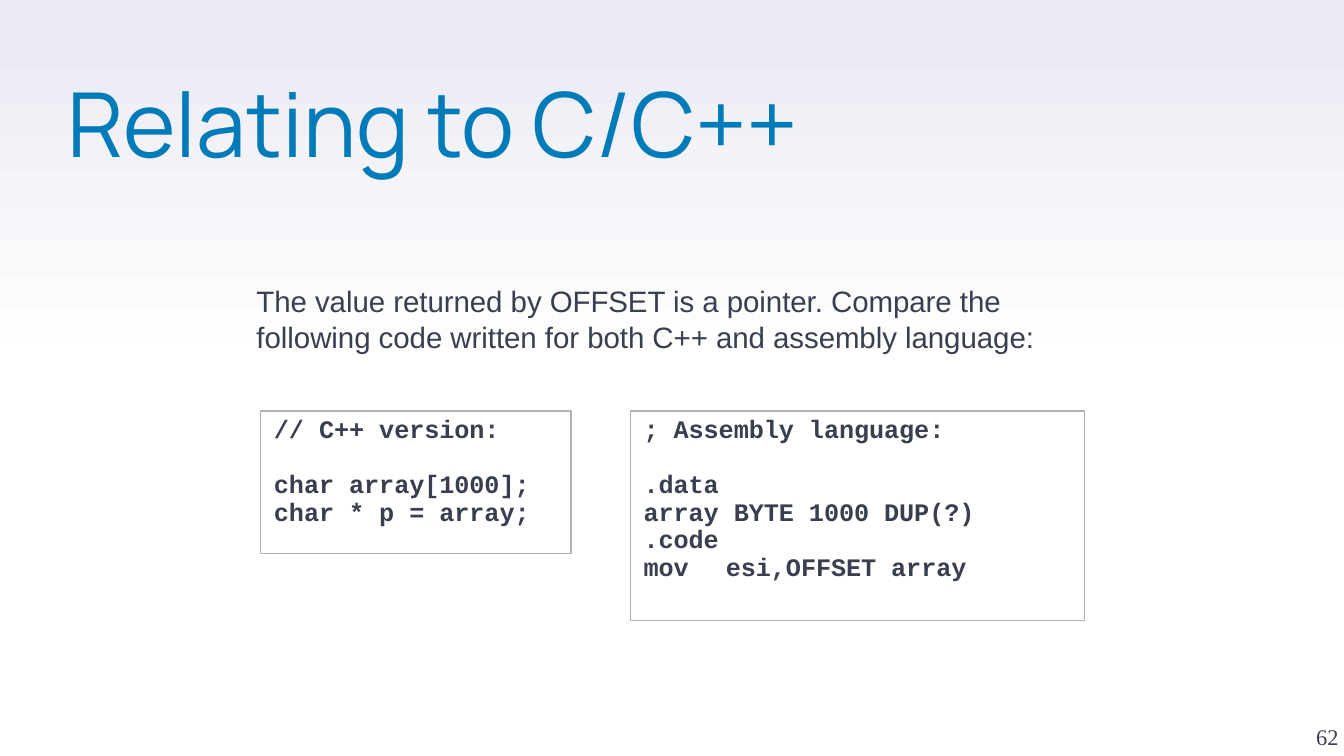
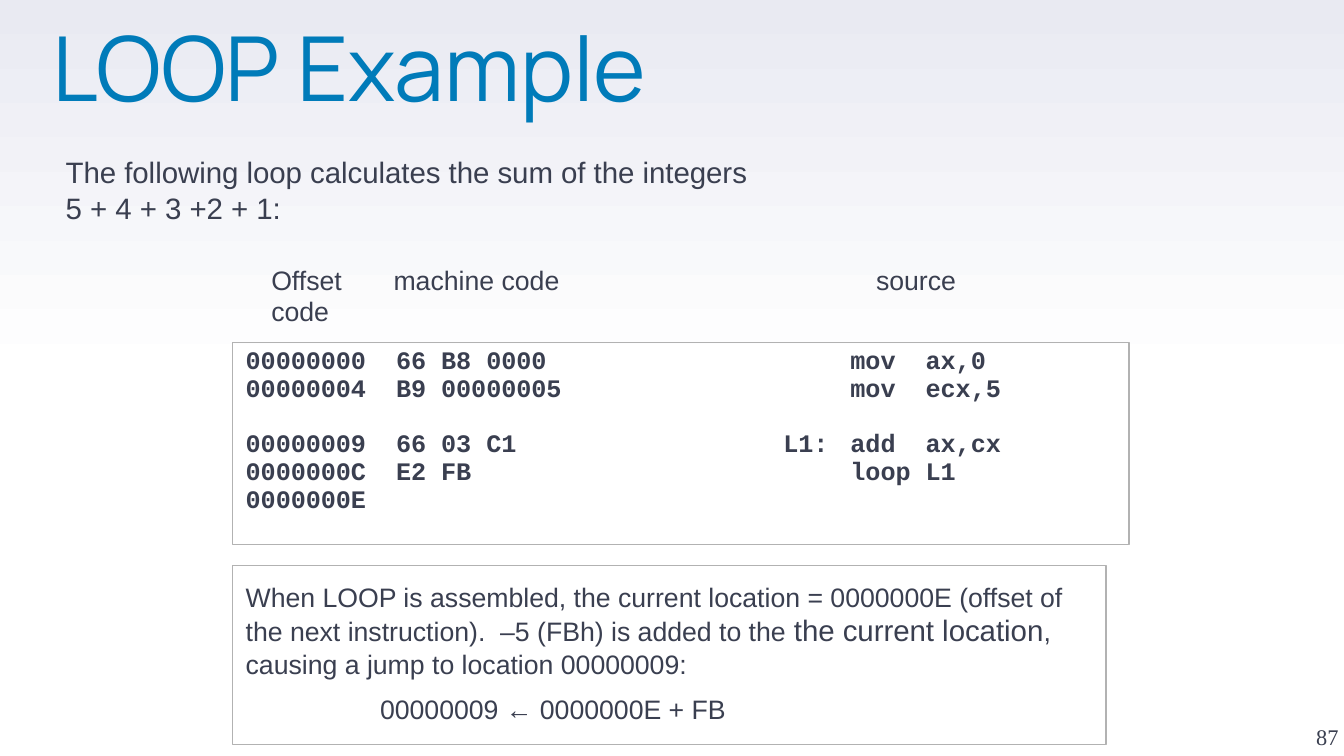
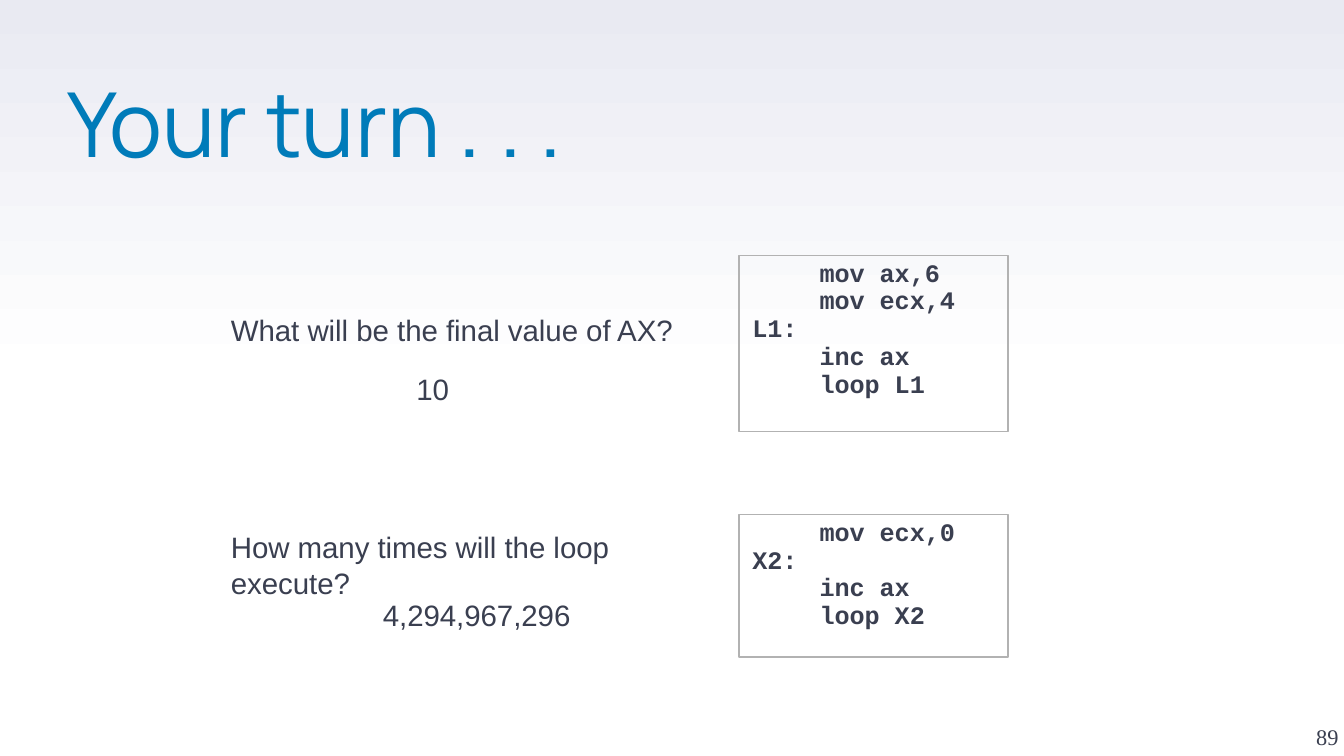
from copy import deepcopy

from lxml.etree import SubElement
from pptx import Presentation
from pptx.dml.color import RGBColor
from pptx.enum.shapes import MSO_SHAPE as Shape
from pptx.enum.text import MSO_ANCHOR as Anchor, MSO_AUTO_SIZE as AutoSize, PP_ALIGN as Align
from pptx.oxml.ns import qn
from pptx.util import Inches, Pt

COLORS = {
    "title": "007BB9",
    "text": "3A3F50",
    "border": "B2B2B2",
    "sky": "E9EAF2",
    "white": "FFFFFF",
}
FONTS = {"title": "Manrope", "body": "Arial", "code": "Courier New", "number": "Times New Roman"}
CODE_PITCH = 14.8
BODY_SIZE, NOTE_SIZE = 15.75, 14.25


def color(name):
    return RGBColor.from_string(COLORS[name])


def set_tabs(para, stops):
    """Give a paragraph left tab stops, in inches from the text edge."""
    tab_list = SubElement(para._p.get_or_add_pPr(), qn("a:tabLst"))
    for stop in stops:
        SubElement(tab_list, qn("a:tab"), pos=str(Inches(stop)), algn="l")


def write(frame, text, font="body", size=BODY_SIZE, ink="text", bold=False,
          align=Align.LEFT, spacing=1.0, before=7, blank=0, tabs=()):
    """Fill a frame with one paragraph per line of text.

    A line is a string or a list of (string, size) spans; an empty line
    becomes extra space, blank points high, above the next paragraph.
    """
    para, gap = frame.paragraphs[0], 0
    lines = text.split("\n") if isinstance(text, str) else text
    for index, line in enumerate(lines):
        if not line:
            gap += blank
            continue
        if index:
            para = frame.add_paragraph()
        para.alignment = align
        para.line_spacing = spacing
        para.space_before = Pt(before + gap if index else 0)
        gap = 0
        if tabs:
            set_tabs(para, tabs)
        for words, points in [(line, size)] if isinstance(line, str) else line:
            span = para.add_run()
            span.text = words
            span.font.name = FONTS[font]
            span.font.size = Pt(points)
            span.font.bold = bold
            span.font.color.rgb = color(ink)


class Lecture:
    """Holds the deck, its shared style and the current page."""

    def __init__(self):
        self.deck = Presentation()
        self.deck.slide_width = Inches(10)
        self.deck.slide_height = Inches(10 * 9 / 16)
        self.page = None
        self.paint_background()

    def paint_background(self):
        fill = self.deck.slide_master.background.fill
        fill.gradient()
        fill.gradient_angle = 90
        first = fill.gradient_stops[0]._gs
        first.addnext(deepcopy(first))
        for stop, position, name in zip(fill.gradient_stops, (0, 0.5, 1), ("white", "white", "sky")):
            stop.position = position
            stop.color.rgb = color(name)

    def frame(self, box, margins=(0.1, 0.11), anchor=Anchor.TOP):
        """Return the box's text frame with the shared settings."""
        frame = box.text_frame
        frame.word_wrap = True
        frame.auto_size = AutoSize.NONE
        frame.vertical_anchor = anchor
        frame.margin_left = frame.margin_right = Inches(margins[0])
        frame.margin_top = frame.margin_bottom = Inches(margins[1])
        return frame

    def add_page(self, title, number, left=0.5, top=0.66):
        self.page = self.deck.slides.add_slide(self.deck.slide_layouts[5])
        heading = self.page.shapes.title
        heading.left, heading.top = Inches(left), Inches(top)
        heading.width, heading.height = Inches(8.96), Inches(1.18)
        write(self.frame(heading, (0, 0)), title, font="title", size=48, ink="title", spacing=0.8)
        self.add_text(str(number), 9.46, 5.07, 0.5, 0.51, margins=(0, 0), anchor=Anchor.BOTTOM,
                      font="number", size=12, align=Align.RIGHT)

    def add_text(self, text, left, top, width, height=0.49, margins=(0.1, 0.11),
                 anchor=Anchor.TOP, **style):
        box = self.page.shapes.add_textbox(*map(Inches, (left, top, width, height)))
        write(self.frame(box, margins, anchor), text, **style)

    def add_panel(self, text, left, top, width, height, **style):
        """Add an outlined rectangle with text."""
        box = self.page.shapes.add_shape(Shape.RECTANGLE, *map(Inches, (left, top, width, height)))
        box.shadow.inherit = False
        box.fill.background()
        box.line.color.rgb = color("border")
        box.line.width = Pt(0.75)
        write(self.frame(box), text, **style)

    def add_code(self, code, left, top, width, height, tabs=(0.5,)):
        self.add_panel(code, left, top, width, height, font="code", size=13.5, bold=True,
                       spacing=0.5, before=6.75, blank=CODE_PITCH, tabs=tabs)


def add_pointer_page(lecture):
    lecture.add_page("Relating to C/C++", 62)
    lecture.add_code("// C++ version:\n\nchar array[1000];\nchar * p = array;",
                     1.94, 3.06, 2.31, 1.06)
    lecture.add_text("The value returned by OFFSET is a pointer. Compare the following code "
                     "written for both C++ and assembly language:", 1.81, 2, 6.31, 0.76)
    lecture.add_code("; Assembly language:\n\n.data\narray BYTE 1000 DUP(?)\n.code\n"
                     "mov\t esi,OFFSET array", 4.69, 3.06, 3.38, 1.56)


def add_loop_page(lecture):
    lecture.add_page("LOOP Example", 87, left=0.39, top=0.24)
    listing = ("00000000  66 B8 0000\t\tmov  ax,0\n"
               "00000004  B9 00000005\t\tmov  ecx,5\n\n"
               "00000009  66 03 C1\tL1:\tadd  ax,cx\n"
               "0000000C  E2 FB\t\tloop L1\n"
               "0000000E")
    lecture.add_code(listing, 1.73, 2.55, 6.67, 1.5, tabs=(4, 4.5))
    lecture.add_text("The following loop calculates the sum of the integers 5 + 4 + 3 +2 + 1:",
                     0.39, 1.04, 5.38, 0.76)
    explanation = [
        [("When LOOP is assembled, the current location = 0000000E (offset of the next "
          "instruction).  –5 (FBh) is added to the ", NOTE_SIZE),
         ("the current location", BODY_SIZE),
         (", causing a jump to location 00000009:", NOTE_SIZE)],
        "\t00000009 ← 0000000E + FB",
    ]
    lecture.add_panel(explanation, 1.73, 4.21, 6.5, 1.33, size=NOTE_SIZE, tabs=(1,))
    lecture.add_text("Offset\tmachine code\tsource code", 1.92, 1.85, 5.31, 0.71,
                     size=NOTE_SIZE, tabs=(0.91, 4.5))


def add_quiz_page(lecture):
    lecture.add_page("Your turn . . .", 89)
    lecture.add_text("What will be the final value of AX?", 1.62, 2.21, 4.12)
    lecture.add_code("\tmov ax,6\n\tmov ecx,4\nL1:\n\tinc ax\n\tloop L1", 5.5, 1.9, 2, 1.31)
    lecture.add_text("How many times will the loop execute?", 1.62, 3.83, 3.5, 0.76)
    lecture.add_code("\tmov ecx,0\nX2:\n\tinc ax\n\tloop X2", 5.5, 3.83, 2, 1.06)
    lecture.add_text("10", 3, 2.65, 0.5)
    lecture.add_text("4,294,967,296", 2.75, 4.33, 1.75)


def main():
    lecture = Lecture()
    add_pointer_page(lecture)
    add_loop_page(lecture)
    add_quiz_page(lecture)
    lecture.deck.save("out.pptx")


if __name__ == "__main__":
    main()
